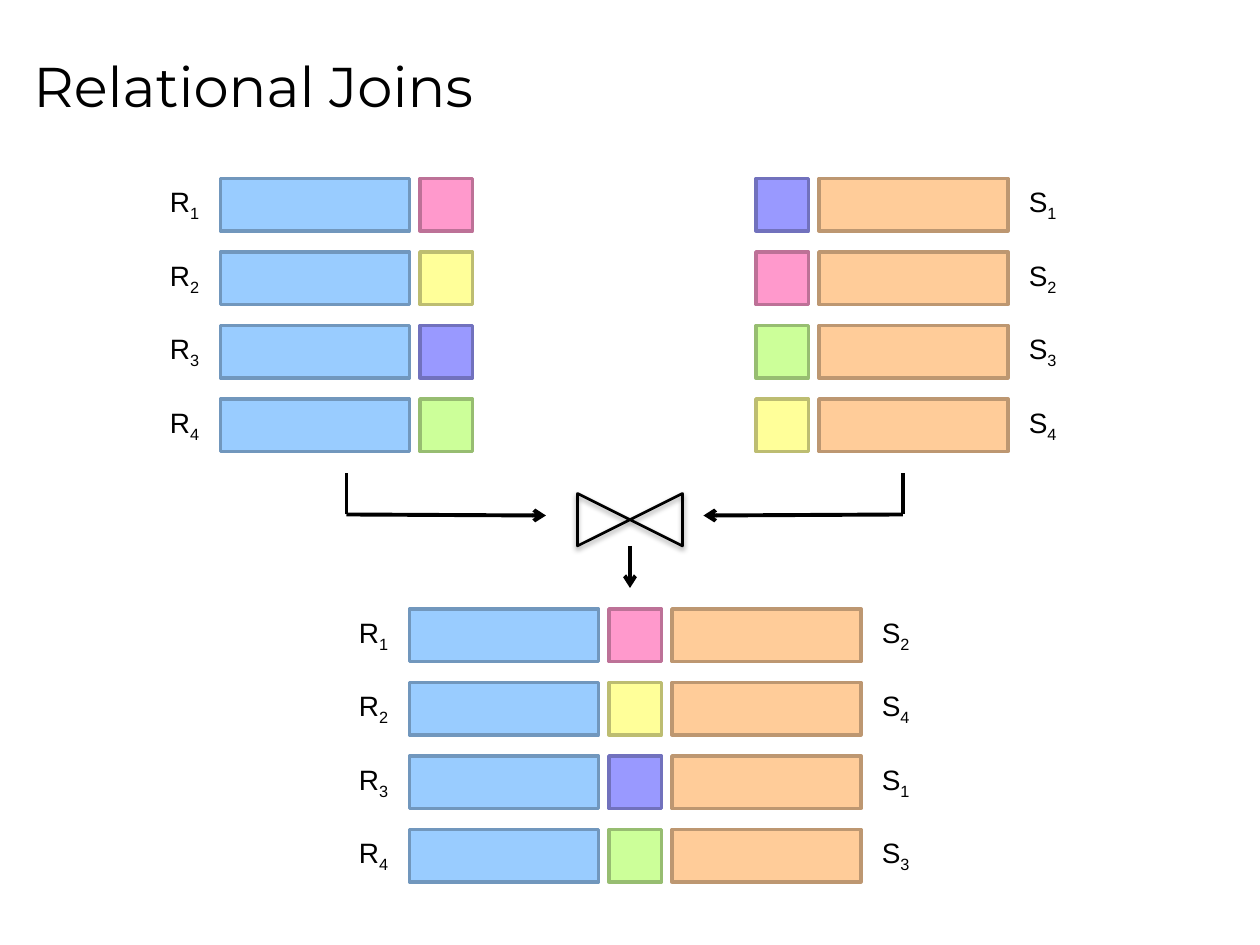
from dataclasses import dataclass

from lxml import etree
from pptx import Presentation
from pptx.dml.color import RGBColor
from pptx.enum.shapes import MSO_CONNECTOR, MSO_SHAPE
from pptx.enum.text import MSO_ANCHOR, MSO_AUTO_SIZE
from pptx.oxml.ns import qn
from pptx.util import Pt

RECTANGLE = MSO_SHAPE.RECTANGLE
COLLATE = MSO_SHAPE.FLOWCHART_COLLATE
STRAIGHT = MSO_CONNECTOR.STRAIGHT
MIDDLE = MSO_ANCHOR.MIDDLE
FIT_SHAPE = MSO_AUTO_SIZE.SHAPE_TO_FIT_TEXT
NO_AUTO_SIZE = MSO_AUTO_SIZE.NONE


@dataclass(frozen=True)
class Theme:
    ink: str = "000000"
    title_font: str = "Montserrat"
    title_size: int = 32
    label_font: str = "Arial"
    label_size: int = 16
    box_line: float = 2
    join_line: float = 1.5
    arrow_line: float = 2.25


THEME = Theme()
COLOURS = {
    "R": ("99CCFF", "7197BD"),
    "S": ("FFCC99", "BD9771"),
    "pink": ("FF99CC", "BD7197"),
    "yellow": ("FFFF99", "BDBD71"),
    "violet": ("9999FF", "7171BD"),
    "green": ("CCFF99", "97BD71"),
}

TITLE = "Relational Joins"
R_KEYS = ["pink", "yellow", "violet", "green"]
S_KEYS = ["violet", "pink", "green", "yellow"]

PX = 7620
SLIDE_SIZE = (1200, 900)
TITLE_BOX = (20, 14, 1140, 134)
JOIN_BOX = (575, 445, 50, 100)
BODY_WIDTH, KEY_SIZE, GAP, PITCH = 180, 50, 10, 70
LABELS = {"R": (-60, 54), "S": (188, 52)}
LABEL_HEIGHT = 44
INPUT_TOP, OUTPUT_TOP = 170, 580
R_LEFT, S_KEY_LEFT, OUTPUT_LEFT = 210, 720, 390
LINES = [
    ((330, 490), (520, 491), True),
    ((330, 490), (330, 450), False),
    ((860, 490), (670, 491), True),
    ((860, 490), (860, 450), False),
    ((600, 520), (600, 560), True),
]


def emu(*lengths):
    return [length * PX for length in lengths]


def colour(value):
    return RGBColor.from_string(value)


def set_font(paragraph, name, size):
    paragraph.font.name = name
    paragraph.font.size = Pt(size)
    paragraph.font.color.rgb = colour(THEME.ink)


def set_line(shape, value, width):
    shape.line.color.rgb = colour(value)
    shape.line.width = Pt(width)


def add_title(slide):
    frame = slide.shapes.add_textbox(*emu(*TITLE_BOX)).text_frame
    frame.word_wrap = True
    frame.auto_size = NO_AUTO_SIZE
    frame.vertical_anchor = MIDDLE
    frame.text = TITLE
    set_font(frame.paragraphs[0], THEME.title_font, THEME.title_size)


def add_box(slide, left, top, width, kind):
    shape = slide.shapes.add_shape(RECTANGLE, *emu(left, top, width, KEY_SIZE))
    fill, line = COLOURS[kind]
    shape.shadow.inherit = False
    shape.fill.solid()
    shape.fill.fore_color.rgb = colour(fill)
    set_line(shape, line, THEME.box_line)


def add_tuple(slide, relation, number, left, top):
    add_box(slide, left, top, BODY_WIDTH, relation)
    offset, width = LABELS[relation]
    label = slide.shapes.add_textbox(*emu(left + offset, top, width, LABEL_HEIGHT))
    frame = label.text_frame
    frame.word_wrap = False
    frame.auto_size = FIT_SHAPE
    paragraph = frame.paragraphs[0]
    set_font(paragraph, THEME.label_font, THEME.label_size)
    paragraph.add_run().text = relation
    subscript = paragraph.add_run()
    subscript.text = str(number)
    subscript.font._element.set("baseline", "-25000")


def add_join(slide):
    shape = slide.shapes.add_shape(COLLATE, *emu(*JOIN_BOX))
    shape.rotation = 90
    shape.shadow.inherit = False
    shape.fill.background()
    set_line(shape, THEME.ink, THEME.join_line)
    effects = shape._element.spPr.find(qn("a:effectLst"))
    shadow = etree.SubElement(
        effects, qn("a:outerShdw"),
        blurRad="40000", dist="20000", dir="5400000", rotWithShape="0",
    )
    tint = etree.SubElement(shadow, qn("a:srgbClr"), val=THEME.ink)
    etree.SubElement(tint, qn("a:alpha"), val="38000")


def add_line(slide, start, end, has_arrow):
    connector = slide.shapes.add_connector(STRAIGHT, *emu(*start, *end))
    set_line(connector, THEME.ink, THEME.arrow_line)
    if has_arrow:
        etree.SubElement(connector.line._get_or_add_ln(), qn("a:tailEnd"), type="arrow")
    etree.SubElement(connector._element.spPr, qn("a:effectLst"))


def add_inputs(slide):
    for index, (r_key, s_key) in enumerate(zip(R_KEYS, S_KEYS)):
        top = INPUT_TOP + index * PITCH
        add_tuple(slide, "R", index + 1, R_LEFT, top)
        add_box(slide, R_LEFT + BODY_WIDTH + GAP, top, KEY_SIZE, r_key)
        add_box(slide, S_KEY_LEFT, top, KEY_SIZE, s_key)
        add_tuple(slide, "S", index + 1, S_KEY_LEFT + KEY_SIZE + GAP, top)


def add_output(slide):
    key_left = OUTPUT_LEFT + BODY_WIDTH + GAP
    for index, key in enumerate(R_KEYS):
        top = OUTPUT_TOP + index * PITCH
        add_tuple(slide, "R", index + 1, OUTPUT_LEFT, top)
        add_box(slide, key_left, top, KEY_SIZE, key)
        add_tuple(slide, "S", S_KEYS.index(key) + 1, key_left + KEY_SIZE + GAP, top)


def main():
    presentation = Presentation()
    presentation.slide_width, presentation.slide_height = emu(*SLIDE_SIZE)
    slide = presentation.slides.add_slide(presentation.slide_layouts[6])
    add_title(slide)
    add_join(slide)
    for line in LINES:
        add_line(slide, *line)
    add_inputs(slide)
    add_output(slide)
    presentation.save("out.pptx")


if __name__ == "__main__":
    main()
